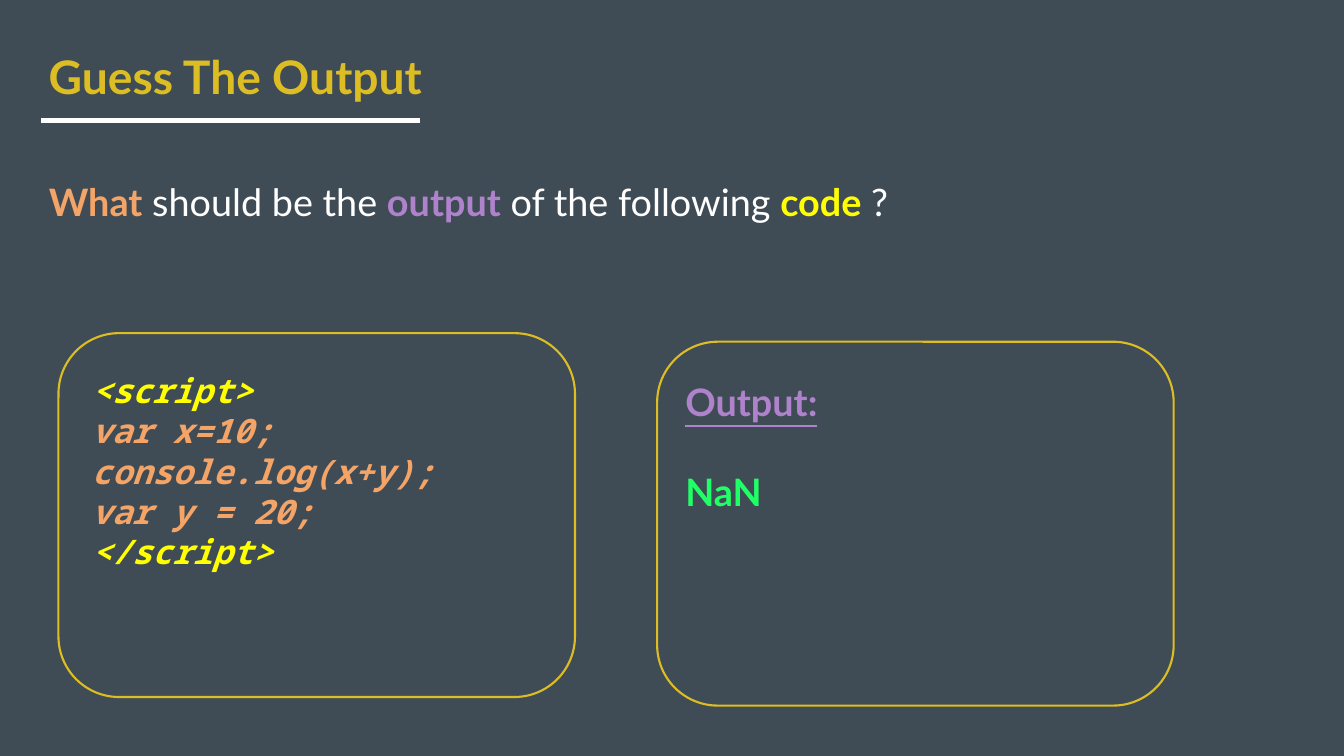
from dataclasses import dataclass

from lxml.etree import SubElement
from pptx import Presentation
from pptx.dml.color import RGBColor
from pptx.enum.shapes import MSO_CONNECTOR, MSO_SHAPE
from pptx.enum.text import PP_ALIGN
from pptx.oxml.ns import qn
from pptx.util import Inches, Pt


@dataclass(frozen=True)
class Theme:
    background: str = "404C55"
    gold: str = "DCBD23"
    white: str = "FFFFFF"
    yellow: str = "FFFF00"
    orange: str = "F4A467"
    purple: str = "AF82CC"
    green: str = "1FFF66"
    text_font: str = "Lato"
    code_font: str = "Noto Sans Mono"
    title_size: int = 66
    body_size: int = 54
    code_size: int = 48
    rule_width: int = 8
    panel_line: int = 3


@dataclass(frozen=True)
class Box:
    left: float
    top: float
    width: float
    height: float

    def inner(self, left, top, width, height):
        """A box offset from this one's top left corner."""
        return Box(self.left + left, self.top + top, width, height)

    def lengths(self):
        return [Inches(n) for n in (self.left, self.top, self.width, self.height)]


THEME = Theme()
SLIDE_WIDTH, SLIDE_HEIGHT = 26.67, 15
PANEL_WIDTH, PANEL_HEIGHT = 10.25, 7.22


def color(value):
    return RGBColor.from_string(value)


def add_text(slide, box, lines, size, font=THEME.text_font, wrap=True):
    """Each line is a list of (text, colour, font attributes) runs."""
    frame = slide.shapes.add_textbox(*box.lengths()).text_frame
    frame.word_wrap = wrap
    for index, runs in enumerate(lines):
        paragraph = frame.add_paragraph() if index else frame.paragraphs[0]
        for text, run_color, extra in runs:
            run = paragraph.add_run()
            run.text = text
            run.font.color.rgb = color(run_color)
            formats = {"name": font, "size": Pt(size), "bold": True, **extra}
            for name, value in formats.items():
                setattr(run.font, name, value)
    return frame


def add_panel(slide, box):
    panel = slide.shapes.add_shape(MSO_SHAPE.ROUNDED_RECTANGLE, *box.lengths())
    panel.shadow.inherit = False
    panel.fill.background()
    panel.line.color.rgb = color(THEME.gold)
    panel.line.width = Pt(THEME.panel_line)


def add_title(slide, box):
    # Heading
    frame = add_text(slide, box, [[("Guess The Output", THEME.gold, {})]],
                     THEME.title_size, wrap=False)
    frame.paragraphs[0].alignment = PP_ALIGN.CENTER
    # Rule under the heading
    left, right = box.left + 0.13, box.left + 7.64
    y = box.top + 1.49
    rule = slide.shapes.add_connector(
        MSO_CONNECTOR.STRAIGHT, Inches(left), Inches(y), Inches(right), Inches(y))
    rule.line.color.rgb = color(THEME.white)
    rule.line.width = Pt(THEME.rule_width)
    SubElement(rule.element.spPr, qn("a:effectLst"))


def add_question(slide, box):
    plain = {"bold": False}
    add_text(slide, box, [[
        ("What", THEME.orange, {}),
        (" should be the ", THEME.white, plain),
        ("output", THEME.purple, {}),
        (" of the following ", THEME.white, plain),
        ("code", THEME.yellow, {}),
        (" ?", THEME.white, plain),
    ]], THEME.body_size)


def add_code(slide, box):
    add_panel(slide, box)
    code = ["<script>", "var x=10;", "console.log(x+y);", "var y = 20;", "</script>"]
    lines = [[(line, THEME.yellow if line.startswith("<") else THEME.orange,
               {"italic": True})] for line in code]
    add_text(slide, box.inner(0.56, 0.68, 7.09, 4.14), lines,
             THEME.code_size, THEME.code_font)


def add_output(slide, box):
    add_panel(slide, box)
    frame = add_text(slide, box.inner(0.46, 0.68, 7.09, 2.83), [
        [("Output:", THEME.purple, {"underline": True})],
        [("NaN", THEME.green, {})],
    ], THEME.body_size)
    # One line of space above the answer
    frame.paragraphs[1].space_before = Pt(THEME.body_size * 1.2)


def main():
    presentation = Presentation()
    presentation.slide_width = Inches(SLIDE_WIDTH)
    presentation.slide_height = Inches(SLIDE_HEIGHT)
    slide = presentation.slides.add_slide(presentation.slide_layouts[6])
    fill = slide.background.fill
    fill.solid()
    fill.fore_color.rgb = color(THEME.background)

    add_title(slide, Box(0.69, 0.9, 7.96, 1.21))
    add_question(slide, Box(0.87, 3.49, 22.41, 1.01))
    add_code(slide, Box(1.16, 6.61, PANEL_WIDTH, PANEL_HEIGHT))
    add_output(slide, Box(13.04, 6.78, PANEL_WIDTH, PANEL_HEIGHT))
    presentation.save("out.pptx")


if __name__ == "__main__":
    main()
